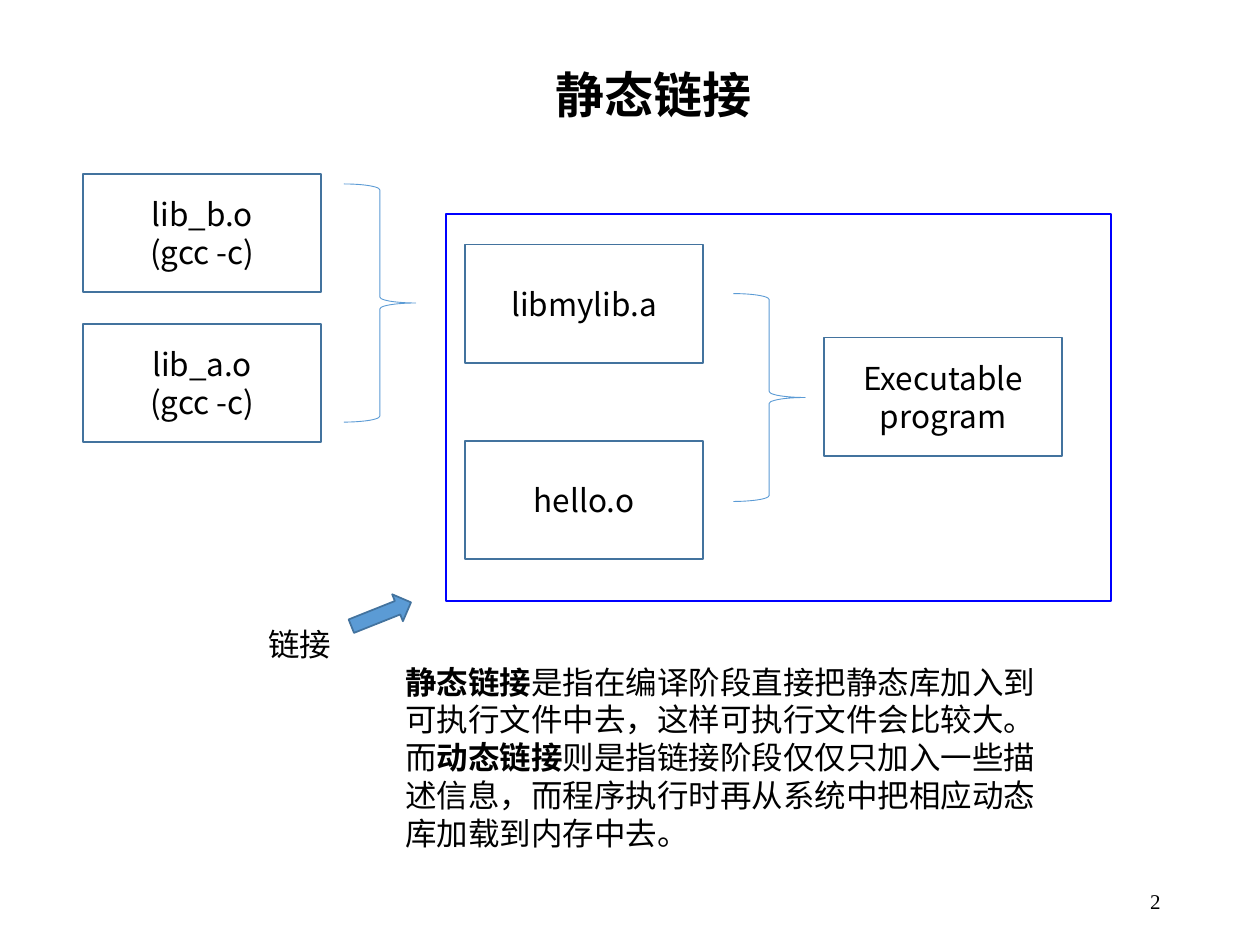
from pptx import Presentation
from pptx.dml.color import RGBColor as Rgb
from pptx.enum.shapes import MSO_SHAPE as Kind
from pptx.enum.text import MSO_ANCHOR as Anchor, MSO_AUTO_SIZE as Auto, PP_ALIGN as Align
from pptx.util import Inches, Pt

INK = {"text": "000000", "paper": "FFFFFF", "edge": "43739E", "sky": "5B9BD5", "frame": "0000FF"}
COLS, ROWS = 100, 75
BOX = (18.9, 9.4)
SANS = "Noto Sans CJK SC"


class Page:
    """Draws styled elements on one slide, with places given in grid columns and rows."""

    def __init__(self, deck):
        self.slide = deck.slides.add_slide(deck.slide_layouts[6])
        self.unit = deck.slide_width / COLS, deck.slide_height / ROWS

    def place(self, *cells):
        return [round(cell * self.unit[i % 2]) for i, cell in enumerate(cells)]

    def letter(self, frame, paras, font, size=18, align=Align.LEFT, **form):
        for key, value in form.items():
            setattr(frame, key, value)
        for i, runs in enumerate(paras):
            para = frame.add_paragraph() if i else frame.paragraphs[0]
            para.alignment = align
            for text, bold in runs:
                run = para.add_run()
                run.text = text
                for key, value in {"name": font, "size": Pt(size), "bold": bold}.items():
                    setattr(run.font, key, value)
                run.font.color.rgb = Rgb.from_string(INK["text"])

    def label(self, spot, paras, font, **form):
        box = self.slide.shapes.add_textbox(*self.place(*spot))
        self.letter(box.text_frame, paras, font, **form)

    def shape(self, kind, spot, line, fill=None, width=1, turn=0):
        item = self.slide.shapes.add_shape(kind, *self.place(*spot))
        item.shadow.inherit = False
        item.rotation = turn
        item.line.width = Pt(width)
        item.line.color.rgb = Rgb.from_string(INK[line])
        if fill:
            item.fill.solid()
            item.fill.fore_color.rgb = Rgb.from_string(INK[fill])
        else:
            item.fill.background()
        return item

    def box(self, left, top, *lines):
        item = self.shape(Kind.RECTANGLE, (left, top, *BOX), "edge", "paper")
        self.letter(item.text_frame, [[(line, False)] for line in lines], SANS,
                    align=Align.CENTER, word_wrap=True, vertical_anchor=Anchor.MIDDLE)

    def brace(self, left, top, height):
        self.shape(Kind.RIGHT_BRACE, (left, top, 5.7, height), "sky", width=0.5)


def main():
    deck = Presentation()
    deck.slide_width, deck.slide_height = Inches(10), Inches(7.5)
    page = Page(deck)
    hug = {"word_wrap": False, "auto_size": Auto.SHAPE_TO_FIT_TEXT}
    page.label((70.6, 69.5, 22.5, 4), [[("2", False)]], "Times New Roman", size=12,
               align=Align.RIGHT, word_wrap=True, vertical_anchor=Anchor.MIDDLE)
    page.label((43.1, 4.6, 17.8, 5.7), [[("静态链接", True)]], "Arial", size=28, **hug)
    for left, top, *lines in [
        (6.6, 13.8, "lib_b.o", "(gcc -c)"),
        (6.6, 25.7, "lib_a.o", "(gcc -c)"),
        (36.9, 19.4, "libmylib.a"),
        (36.9, 35, "hello.o"),
        (65.4, 26.8, "Executable program"),
    ]:
        page.box(left, top, *lines)
    page.brace(27.3, 14.6, 18.9)
    page.brace(58.2, 23.3, 16.5)
    page.shape(Kind.RECTANGLE, (35.4, 17, 52.8, 30.7), "frame")
    page.shape(Kind.RIGHT_ARROW, (27.7, 47.6, 5.1, 2.3), "edge", "sky", turn=338.3)
    page.label((20.3, 49.1, 7.1, 4), [[("链接", False)]], "Arial", **hug)
    page.label((31.2, 52.1, 54, 16.2), [
        [("静态链接", True),
         ("是指在编译阶段直接把静态库加入到可执行文件中去，这样可执行文件会比较大。", False)],
        [("而", False), ("动态链接", True),
         ("则是指链接阶段仅仅只加入一些描述信息，而程序执行时再从系统中把相应动态库加载到内存中去。", False)],
    ], "DejaVu Sans", word_wrap=True, auto_size=Auto.SHAPE_TO_FIT_TEXT)
    deck.save("out.pptx")


if __name__ == "__main__":
    main()
